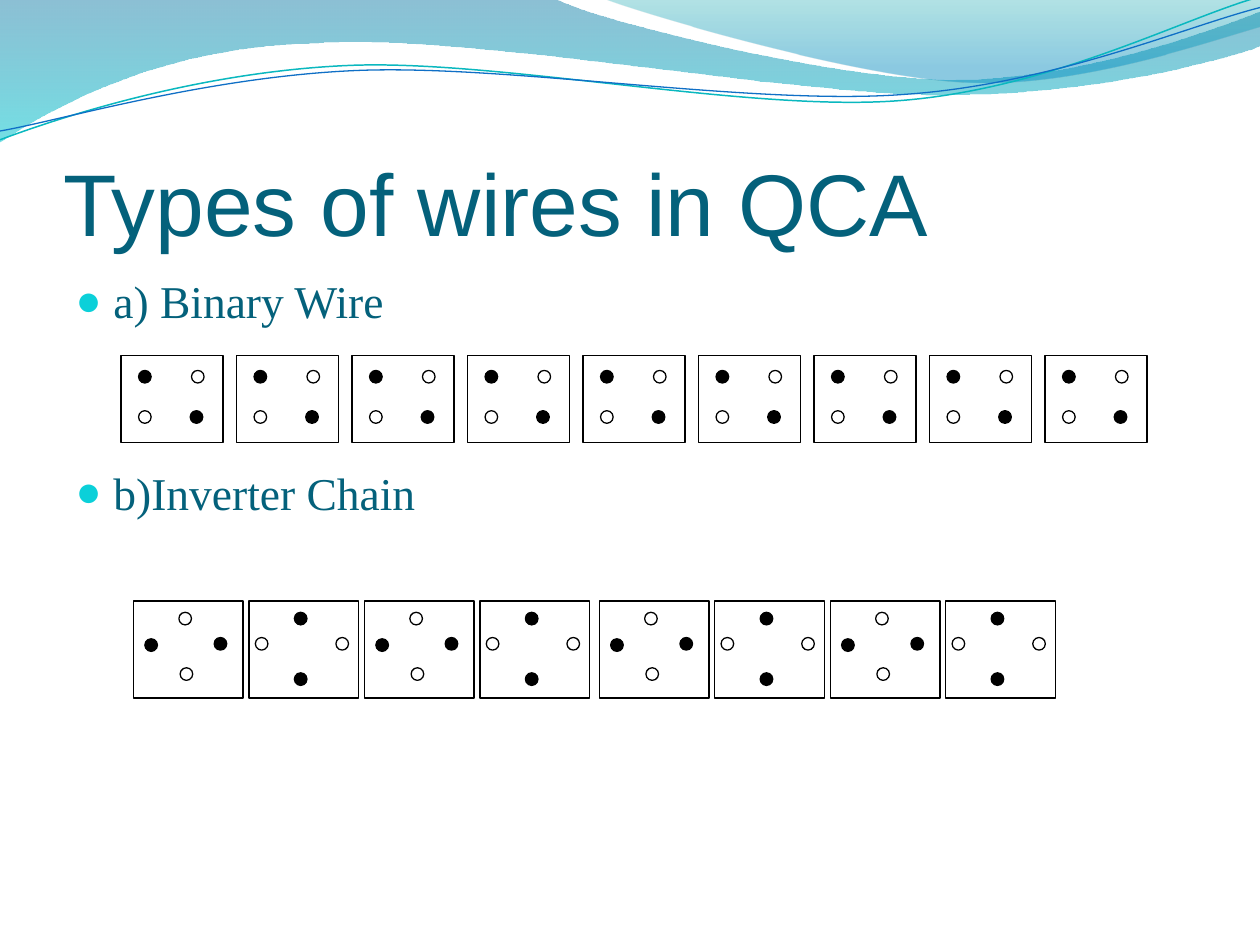
"""Build the slide on types of wires in QCA, with a binary wire and an inverter chain."""
from dataclasses import dataclass

from lxml.etree import SubElement
from pptx import Presentation
from pptx.dml.color import RGBColor
from pptx.enum.shapes import MSO_SHAPE
from pptx.enum.text import MSO_ANCHOR, MSO_AUTO_SIZE, PP_ALIGN
from pptx.oxml.ns import qn
from pptx.util import Inches, Pt


@dataclass(frozen=True)
class Theme:
    text: str = "04617B"
    bullet: str = "0BD0D9"
    ink: str = "000000"
    paper: str = "FFFFFF"
    title_font: str = "Arial"
    body_font: str = "Times New Roman"
    title_size: int = 50
    body_size: int = 26
    outline: float = 0.75


THEME = Theme()
TITLE = "Types of wires in QCA"
WIRES = [("a) Binary Wire", 5), ("b)Inverter Chain", 78)]
TITLE_BOX = (0.5, 0.77, 9, 1.25)
BODY_BOX = (0.5, 2.12, 9, 4.8)

DIAGONAL = [(0.14, 0.12, True), (0.56, 0.12, False), (0.14, 0.44, False), (0.55, 0.44, True)]
SIDES_FILLED = [(0.36, 0.09, False), (0.37, 0.53, False), (0.09, 0.3, True), (0.64, 0.29, True)]
ENDS_FILLED = [(0.36, 0.09, True), (0.36, 0.57, True), (0.05, 0.29, False), (0.69, 0.29, False)]
PITCH = 11 / 12
DOT = 0.1
CHAINS = [
    dict(origin=(0.96, 2.82), cell=(0.81, 0.69), states=[DIAGONAL] * 9, block=9, block_gap=0),
    dict(origin=(1.06, 4.77), cell=(0.87, 0.77), states=[SIDES_FILLED, ENDS_FILLED] * 4,
         block=4, block_gap=0.03),
]

BANDS = [
    dict(start=(0, 0),
         path=[(4.4, -0.01), (4.76, 0.17, 6.64, 0.63, 7.58, 0.63), (8.53, 0.63, 9.58, 0.26, 10, 0.09),
               (10.01, 0.36), (9.83, 0.44, 8.7, 0.76, 7.46, 0.75), (6.22, 0.75, 3.82, 0.28, 2.57, 0.34),
               (1.29, 0.36, 0.46, 0.83, -0.01, 1.13)],
         stops=[(0, "0074A1", 45), (1, "00C6CF", 55)]),
    dict(start=(4.79, -0.01),
         path=[(5.09, 0.11, 6.82, 0.62, 7.69, 0.65), (8.56, 0.69, 9.61, 0.32, 10, 0.21), (10, 0)],
         stops=[(0, "00A1A9", 30), (0.8, "008BBF", 45)]),
]
STRANDS = [
    dict(start=(0, 1.11), color="0AB8BF", width=0.85,
         path=[(0.48, 0.93, 1.58, 0.57, 2.77, 0.52), (3.95, 0.47, 5.93, 0.89, 7.13, 0.8),
               (8.33, 0.71, 9.38, 0.15, 9.98, -0.02)]),
    dict(start=(0, 1.04), color="0F6FC6", width=0.75,
         path=[(0.47, 0.96, 1.64, 0.61, 2.83, 0.56), (4.03, 0.51, 5.97, 0.84, 7.17, 0.75),
               (8.36, 0.67, 9.41, 0.21, 10, 0.06)]),
]


def rgb(value):
    return RGBColor.from_string(value)


def add_outline(slide, start, path, close):
    anchors = [tuple(map(Inches, segment[-2:])) for segment in path]
    builder = slide.shapes.build_freeform(*map(Inches, start), scale=1)
    builder.add_line_segments(anchors, close=close)
    outline = builder.convert_to_shape()
    outline.shadow.inherit = False
    for line, segment in zip(list(outline._element.iter(qn("a:lnTo"))), path):
        if len(segment) == 6:
            line.tag = qn("a:cubicBezTo")
            line.remove(line[0])
            for x, y in zip(segment[::2], segment[1::2]):
                SubElement(line, qn("a:pt"), x=str(Inches(x) - outline.left),
                           y=str(Inches(y) - outline.top))
    return outline


def add_band(slide, start, path, stops):
    band = add_outline(slide, start, path, True)
    band.line.fill.background()
    band.fill.gradient()
    band.fill.gradient_angle = 270
    for stop, (position, color, _) in zip(band.fill.gradient_stops, stops):
        stop.position = position
        stop.color.rgb = rgb(color)
    for color, (_, _, opacity) in zip(band._element.spPr.iter(qn("a:srgbClr")), stops):
        SubElement(color, qn("a:alpha"), val=str(opacity * 1000))


def add_strand(slide, start, path, color, width):
    strand = add_outline(slide, start, path, False)
    strand.fill.background()
    strand.line.color.rgb = rgb(color)
    strand.line.width = Pt(width)


def add_part(group, preset, box, color):
    part = group.shapes.add_shape(preset, *map(Inches, box))
    part.shadow.inherit = False
    part.fill.solid()
    part.fill.fore_color.rgb = rgb(color)
    part.line.color.rgb = rgb(THEME.ink)
    part.line.width = Pt(THEME.outline)


def add_chain(slide, origin, cell, states, block, block_gap):
    chain = slide.shapes.add_group_shape()
    top = origin[1]
    for index, dots in enumerate(states):
        left = origin[0] + index * PITCH + index // block * block_gap
        add_part(chain, MSO_SHAPE.RECTANGLE, (left, top, *cell), THEME.paper)
        for x, y, filled in dots:
            add_part(chain, MSO_SHAPE.FLOWCHART_CONNECTOR, (left + x, top + y, DOT, DOT),
                     THEME.ink if filled else THEME.paper)


def place(slide, holder, box):
    holder.left, holder.top, holder.width, holder.height = map(Inches, box)
    holder.text_frame.auto_size = MSO_AUTO_SIZE.NONE
    slide.shapes._spTree.append(holder._element)
    return holder.text_frame


def style(paragraph, font, size):
    paragraph.alignment = PP_ALIGN.LEFT
    for run in paragraph.runs:
        run.font.name = font
        run.font.size = Pt(size)
        run.font.color.rgb = rgb(THEME.text)


def add_bullet(paragraph):
    properties = paragraph._p.get_or_add_pPr()
    properties.set("marL", str(Inches(0.3)))
    properties.set("indent", str(-Inches(0.3)))
    SubElement(SubElement(properties, qn("a:buClr")), qn("a:srgbClr"), val=THEME.bullet)
    SubElement(properties, qn("a:buSzPct"), val="95000")
    SubElement(properties, qn("a:buFont"), typeface=THEME.title_font)
    SubElement(properties, qn("a:buChar"), char="●")


def write_text(slide):
    heading = place(slide, slide.shapes.title, TITLE_BOX)
    heading.text = TITLE
    heading.vertical_anchor = MSO_ANCHOR.BOTTOM
    heading.margin_left = heading.margin_right = heading.margin_bottom = 0
    style(heading.paragraphs[0], THEME.title_font, THEME.title_size)

    body = place(slide, slide.placeholders[1], BODY_BOX)
    body.text = "\n".join(label for label, _ in WIRES)
    for paragraph, (_, gap) in zip(body.paragraphs, WIRES):
        style(paragraph, THEME.body_font, THEME.body_size)
        paragraph.space_before = Pt(gap)
        add_bullet(paragraph)


def main():
    deck = Presentation()
    deck.slide_width, deck.slide_height = Inches(10), Inches(7.5)
    slide = deck.slides.add_slide(deck.slide_layouts[1])
    for band in BANDS:
        add_band(slide, **band)
    for strand in STRANDS:
        add_strand(slide, **strand)
    write_text(slide)
    for chain in CHAINS:
        add_chain(slide, **chain)
    deck.save("out.pptx")


if __name__ == "__main__":
    main()
